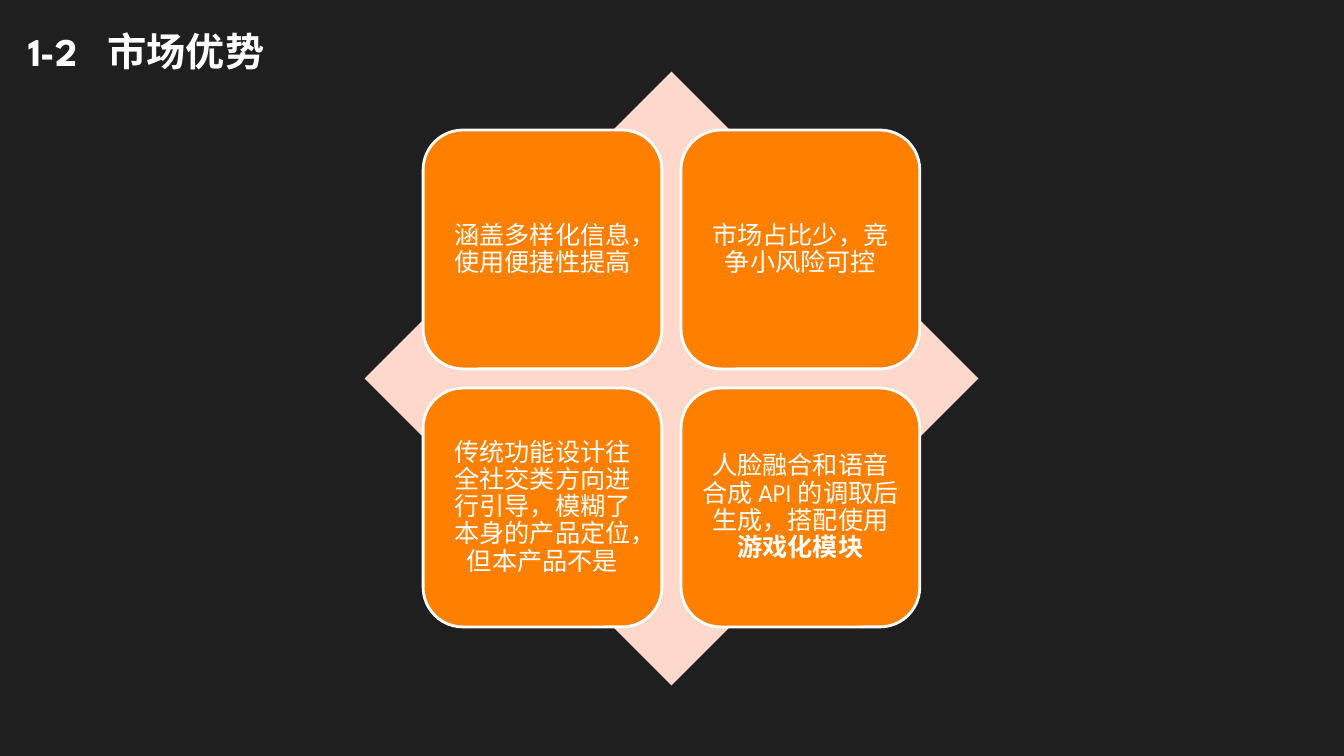
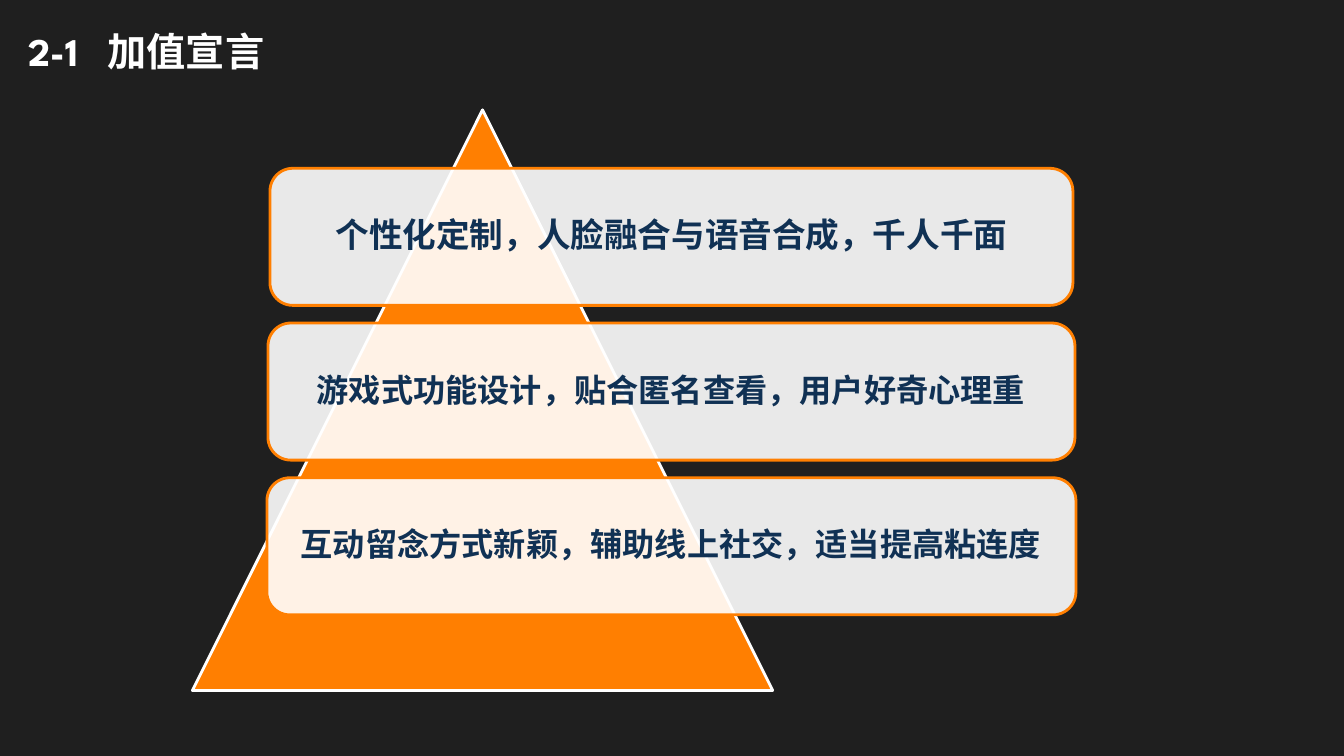
from pptx import Presentation
from pptx.dml.color import RGBColor
from pptx.enum.shapes import MSO_SHAPE
from pptx.enum.text import MSO_ANCHOR, PP_ALIGN
from pptx.oxml.ns import qn
from pptx.util import Inches, Pt
from lxml import etree

DIAMOND = MSO_SHAPE.DIAMOND
TRIANGLE = MSO_SHAPE.ISOSCELES_TRIANGLE
ROUNDED = MSO_SHAPE.ROUNDED_RECTANGLE
MIDDLE = MSO_ANCHOR.MIDDLE
CENTER = PP_ALIGN.CENTER
LEFT = PP_ALIGN.LEFT

FONT = "League Spartan"
DARK, WHITE, ORANGE, PEACH, NAVY = "1F1F1F", "FFFFFF", "FF7F01", "FFD8CC", "103154"
TITLE_BOX = (0.18, 0.22, 2.75, 0.62)
TITLE_TAB = 0.79
TITLE_STYLE = {"name": FONT, "size": Pt(28), "bold": True}
TILE_STYLE = {"name": FONT, "size": Pt(18), "bold": False}
BAR_STYLE = {"name": FONT, "bold": True}

ADVANTAGES = [
    [("涵盖多样化信息，使用便捷性提高", {})],
    [("市场占比少，竞争小风险可控", {})],
    [("传统功能设计往全社交类方向进行引导，模糊了本身的产品定位，但本产品不是", {})],
    [("人脸融合和语音合成 API 的调取后生成，搭配使用 ", {}), ("游戏化模块", {"bold": True})],
]
DECLARATIONS = [
    ("个性化定制，人脸融合与语音合成，千人千面", 7.97, 24),
    ("游戏式功能设计，贴合匿名查看，用户好奇心理重", 8.01, 23),
    ("互动留念方式新颖，辅助线上社交，适当提高粘连度", 8.03, 23),
]


def color(hex_text):
    """Turn a hex string into a colour."""
    return RGBColor.from_string(hex_text)


def set_all(target, values):
    """Set each named attribute of the target."""
    for name, value in values.items():
        setattr(target, name, value)


def add_outline(page, kind, box, fill, line=None, alpha=None):
    """Add a preset shape with a plain fill and an optional line."""
    shape = page.shapes.add_shape(kind, *map(Inches, box))
    shape.shadow.inherit = False
    shape.fill.solid()
    shape.fill.fore_color.rgb = color(fill)
    if alpha is not None:
        tint = shape.element.spPr.find(qn("a:solidFill")).find(qn("a:srgbClr"))
        etree.SubElement(tint, qn("a:alpha"), val=str(alpha * 1000))
    if line:
        shape.line.color.rgb = color(line)
        shape.line.width = Pt(2)
    else:
        shape.line.fill.background()
    return shape


def write(shape, spans, style, text_color, align=CENTER, margin=None):
    """Write one paragraph of styled spans, centred vertically."""
    frame = shape.text_frame
    set_all(frame, {"word_wrap": True, "vertical_anchor": MIDDLE})
    if margin is not None:
        sides = ("left", "top", "right", "bottom")
        set_all(frame, {f"margin_{side}": Inches(margin) for side in sides})
    para = frame.paragraphs[0]
    set_all(para, {"alignment": align, "line_spacing": 0.9})
    for text, changes in spans:
        span = para.add_run()
        span.text = text
        set_all(span.font, {**style, **changes})
        span.font.color.rgb = color(text_color)
    return para


def add_page(deck, number, title):
    """Add a dark page with its numbered title."""
    page = deck.slides.add_slide(deck.slide_layouts[6])
    page.background.fill.solid()
    page.background.fill.fore_color.rgb = color(DARK)
    box = page.shapes.add_textbox(*map(Inches, TITLE_BOX))
    para = write(box, [(f"{number}\t{title}", {})], TITLE_STYLE, WHITE, LEFT)
    tabs = etree.SubElement(para._p.get_or_add_pPr(), qn("a:tabLst"))
    etree.SubElement(tabs, qn("a:tab"), pos=str(Inches(TITLE_TAB)), algn="l")
    return page


def add_matrix(page, box, advantages):
    """Place a diamond in the box and four tiles over its middle."""
    left, top, width, height = box
    add_outline(page, DIAMOND, box, PEACH)
    tile, gap = 2.37, 0.19
    block = 2 * tile + gap
    start_x = left + (width - block) / 2
    start_y = top + (height - block) / 2
    for index, spans in enumerate(advantages):
        row, column = divmod(index, 2)
        place = (start_x + column * (tile + gap), start_y + row * (tile + gap), tile, tile)
        shape = add_outline(page, ROUNDED, place, ORANGE, WHITE)
        write(shape, spans, TILE_STYLE, WHITE, margin=0.07)


def add_pyramid(page, box, declarations):
    """Place a triangle in the box and a stack of bars centred on its right part."""
    left, top, width, height = box
    add_outline(page, TRIANGLE, box, ORANGE, WHITE)
    center, first = left + 4.755, top + 0.58
    bar, pitch = 1.36, 1.535
    for index, (text, length, size) in enumerate(declarations):
        place = (center - length / 2, first + index * pitch, length, bar)
        shape = add_outline(page, ROUNDED, place, WHITE, ORANGE, alpha=90)
        write(shape, [(text, {"size": Pt(size)})], BAR_STYLE, NAVY, margin=0.1)


def main():
    """Build and save the deck."""
    deck = Presentation()
    set_all(deck, {"slide_width": Inches(13.34), "slide_height": Inches(7.5)})
    add_matrix(add_page(deck, "1-2", "市场优势"), (3.62, 0.71, 6.09, 6.09), ADVANTAGES)
    add_pyramid(add_page(deck, "2-1", "加值宣言"), (1.91, 1.09, 5.76, 5.76), DECLARATIONS)
    deck.save("out.pptx")


if __name__ == "__main__":
    main()
